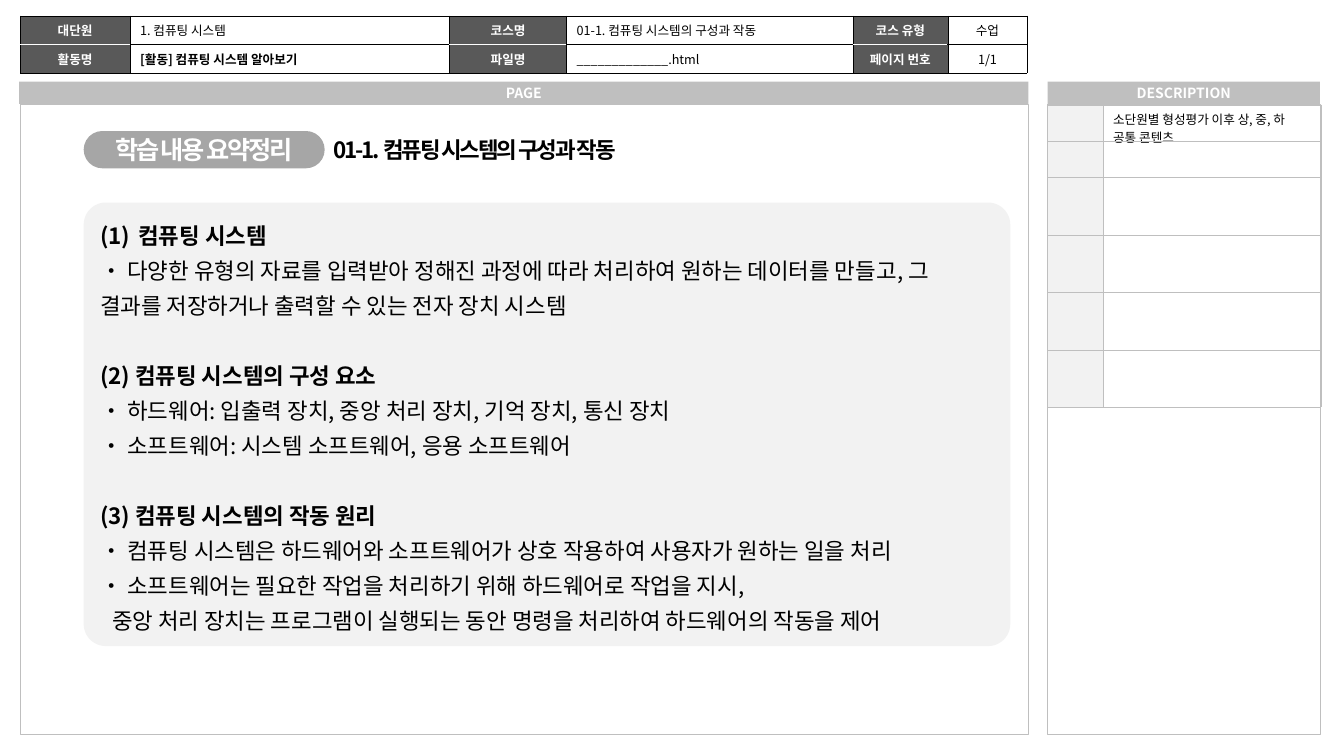
from dataclasses import dataclass
from typing import Optional

from lxml.etree import SubElement
from pptx import Presentation
from pptx.dml.color import RGBColor
from pptx.enum.shapes import MSO_SHAPE
from pptx.enum.text import MSO_ANCHOR, PP_ALIGN
from pptx.oxml.ns import qn
from pptx.util import Inches, Pt


@dataclass(frozen=True)
class Theme:
    font: str = "Noto Sans CJK KR"
    black: str = "000000"
    white: str = "FFFFFF"
    label: str = "595959"
    badge: str = "A6A6A6"
    rule: str = "BFBFBF"
    panel: str = "F2F2F2"
    small: float = 9
    bar: float = 10
    body: float = 16
    badge_size: float = 18
    hairline: float = 0.25
    tracking: float = -1.5
    pitch: float = 25


THEME = Theme()


@dataclass(frozen=True)
class Style:
    size: float
    color: str = THEME.black
    bold: bool = False
    align: PP_ALIGN = PP_ALIGN.LEFT
    tracking: float = 0


@dataclass(frozen=True)
class Block:
    left: float
    top: float
    width: float
    height: float
    fill: Optional[str] = None
    line: Optional[str] = None
    corner: Optional[float] = None
    text: str = ""
    style: Style = Style(THEME.body)


@dataclass(frozen=True)
class Line:
    text: str
    heading: bool = False
    indent: float = 0
    numbered: bool = False


BAR = Style(THEME.bar, THEME.white, True, PP_ALIGN.CENTER)
LABEL = Style(THEME.small, THEME.white, True, PP_ALIGN.CENTER)
VALUE = Style(THEME.small)
ACTIVITY = Style(THEME.small, bold=True)
CENTERED = Style(THEME.small, align=PP_ALIGN.CENTER)

FRAMES = [
    Block(left, 1.03, width, 6.25, THEME.white, THEME.rule)
    for left, width in ((0.2, 10), (10.39, 2.7))
]
BARS = [
    Block(0.19, 0.81, 10.01, 0.22, THEME.rule, corner=0, text="PAGE", style=BAR),
    Block(10.39, 0.81, 2.7, 0.22, THEME.rule, corner=0, text="DESCRIPTION", style=BAR),
]
TITLES = [
    Block(0.83, 1.3, 2.39, 0.37, THEME.badge, corner=0.5, text="학습 내용 요약정리",
          style=Style(THEME.badge_size, THEME.white, True, PP_ALIGN.CENTER, THEME.tracking)),
    Block(3.21, 1.3, 3.38, 0.37, text="01-1. 컴퓨팅 시스템의 구성과 작동",
          style=Style(THEME.body, bold=True, tracking=THEME.tracking)),
]
SUMMARY = Block(0.83, 2.01, 9.19, 4.4, THEME.panel, corner=0.05)
SUMMARY_LINES = [
    Line("컴퓨팅 시스템", heading=True, indent=0.38, numbered=True),
    Line("• 다양한 유형의 자료를 입력받아 정해진 과정에 따라 처리하여 원하는 데이터를 만들고, "
         "그 결과를 저장하거나 출력할 수 있는 전자 장치 시스템"),
    Line("(2) 컴퓨팅 시스템의 구성 요소", heading=True),
    Line("• 하드웨어: 입출력 장치, 중앙 처리 장치, 기억 장치, 통신 장치"),
    Line("• 소프트웨어: 시스템 소프트웨어, 응용 소프트웨어"),
    Line("(3) 컴퓨팅 시스템의 작동 원리", heading=True),
    Line("• 컴퓨팅 시스템은 하드웨어와 소프트웨어가 상호 작용하여 사용자가 원하는 일을 처리"),
    Line("• 소프트웨어는 필요한 작업을 처리하기 위해 하드웨어로 작업을 지시,"),
    Line("중앙 처리 장치는 프로그램이 실행되는 동안 명령을 처리하여 하드웨어의 작동을 제어", indent=0.12),
]
HEADER_COLUMNS = [1.09, 3.17, 1.16, 2.84, 0.94, 0.79]
HEADER_HEIGHTS = [0.16] * 2
HEADER_ROWS = [
    [("대단원", LABEL), ("1. 컴퓨팅 시스템", VALUE), ("코스명", LABEL),
     ("01-1. 컴퓨팅 시스템의 구성과 작동", VALUE), ("코스 유형", LABEL), ("수업", CENTERED)],
    [("활동명", LABEL), ("[활동] 컴퓨팅 시스템 알아보기", ACTIVITY), ("파일명", LABEL),
     ("_____________.html", VALUE), ("페이지 번호", LABEL), ("1/1", CENTERED)],
]
DESCRIPTION = "소단원별 형성평가 이후 상, 중, 하 공통 콘텐츠"
DESCRIPTION_HEIGHTS = [0.36] * 2 + [0.57] * 4


def write(paragraph, text: str, style: Style) -> None:
    paragraph.alignment = style.align
    if not text:
        SubElement(paragraph._p, qn("a:endParaRPr"), sz=str(int(style.size * 100)))
        return
    run = paragraph.add_run()
    run.text = text
    formats = {"name": THEME.font, "size": Pt(style.size), "bold": style.bold}
    for name, value in formats.items():
        setattr(run.font, name, value)
    run.font.color.rgb = RGBColor.from_string(style.color)
    if style.tracking:
        run._r.get_or_add_rPr().set("spc", str(int(style.tracking * 100)))


def draw_block(slide, block: Block):
    """Draw a filled shape, or a text box when there is no fill."""
    place = [Inches(v) for v in (block.left, block.top, block.width, block.height)]
    if block.fill:
        kind = MSO_SHAPE.RECTANGLE if block.corner is None else MSO_SHAPE.ROUNDED_RECTANGLE
        shape = slide.shapes.add_shape(kind, *place)
        shape.shadow.inherit = False
        shape.fill.solid()
        shape.fill.fore_color.rgb = RGBColor.from_string(block.fill)
        if block.corner is not None:
            shape.adjustments[0] = block.corner
        if block.line:
            shape.line.color.rgb = RGBColor.from_string(block.line)
            shape.line.width = Pt(THEME.hairline)
        else:
            shape.line.fill.background()
    else:
        shape = slide.shapes.add_textbox(*place)
    shape.text_frame.word_wrap = True
    shape.text_frame.vertical_anchor = MSO_ANCHOR.MIDDLE
    if block.text:
        write(shape.text_frame.paragraphs[0], block.text, block.style)
    return shape


def draw_summary(slide) -> None:
    frame = draw_block(slide, SUMMARY).text_frame
    for index, line in enumerate(SUMMARY_LINES):
        paragraph = frame.add_paragraph() if index else frame.paragraphs[0]
        paragraph.line_spacing = Pt(THEME.pitch)
        if index and line.heading:
            paragraph.space_before = Pt(THEME.pitch)
        properties = paragraph._p.get_or_add_pPr()
        if line.indent:
            properties.set("marL", str(Inches(line.indent)))
        if line.numbered:
            properties.set("indent", str(-Inches(line.indent)))
            SubElement(properties, qn("a:buFont"), typeface=THEME.font)
            SubElement(properties, qn("a:buAutoNum"), type="arabicParenBoth")
        write(paragraph, line.text, Style(THEME.body, bold=line.heading))


def add_table(slide, left: float, top: float, columns: list[float], heights: list[float]):
    table = slide.shapes.add_table(
        len(heights), len(columns), Inches(left), Inches(top),
        Inches(sum(columns)), Inches(sum(heights))).table
    table.first_row = table.horz_banding = False
    for column, width in zip(table.columns, columns):
        column.width = Inches(width)
    for row, height in zip(table.rows, heights):
        row.height = Inches(height)
    return table


def fill_cell(cell, text: str, style: Style, fill: Optional[str], borders: dict[str, str]) -> None:
    """Set a cell's text, fill and the border colours given by side: L, R, T, B."""
    properties = cell._tc.get_or_add_tcPr()
    for side, color in borders.items():
        border = SubElement(properties, qn(f"a:ln{side}"), w=str(Pt(THEME.hairline)))
        SubElement(SubElement(border, qn("a:solidFill")), qn("a:srgbClr"), val=color)
    if fill:
        cell.fill.solid()
        cell.fill.fore_color.rgb = RGBColor.from_string(fill)
    else:
        cell.fill.background()
    cell.vertical_anchor = MSO_ANCHOR.MIDDLE
    write(cell.text_frame.paragraphs[0], text, style)


def draw_header(slide, labels: bool) -> None:
    """Draw the header grid with either its labels or its values filled in."""
    table = add_table(slide, 0.2, 0.16, HEADER_COLUMNS, HEADER_HEIGHTS)
    for row, entries in enumerate(HEADER_ROWS):
        for column, (text, style) in enumerate(entries):
            is_label = style is LABEL
            borders = dict.fromkeys("LRTB", THEME.black)
            if is_label:
                borders["T" if row else "B"] = THEME.white
            fill_cell(table.cell(row, column), text if is_label == labels else "", style,
                      THEME.label if is_label and labels else None, borders)


def draw_description(slide) -> None:
    table = add_table(slide, 10.39, 1.04, [0.55, 2.16], DESCRIPTION_HEIGHTS)
    for row in range(len(DESCRIPTION_HEIGHTS)):
        for column, fill in enumerate((THEME.panel, None)):
            cell = table.cell(row, column)
            cell.margin_bottom = 0
            text = DESCRIPTION if (row, column) == (0, 1) else ""
            fill_cell(cell, text, VALUE, fill, dict.fromkeys("LRTB", THEME.rule))


def main() -> None:
    deck = Presentation()
    deck.slide_width, deck.slide_height = Inches(13.33), Inches(7.5)
    slide = deck.slides.add_slide(deck.slide_layouts[6])
    for frame in FRAMES:
        draw_block(slide, frame)
    draw_header(slide, labels=True)
    for bar in BARS:
        draw_block(slide, bar)
    draw_header(slide, labels=False)
    for title in TITLES:
        draw_block(slide, title)
    draw_description(slide)
    draw_summary(slide)
    deck.save("out.pptx")


if __name__ == "__main__":
    main()
